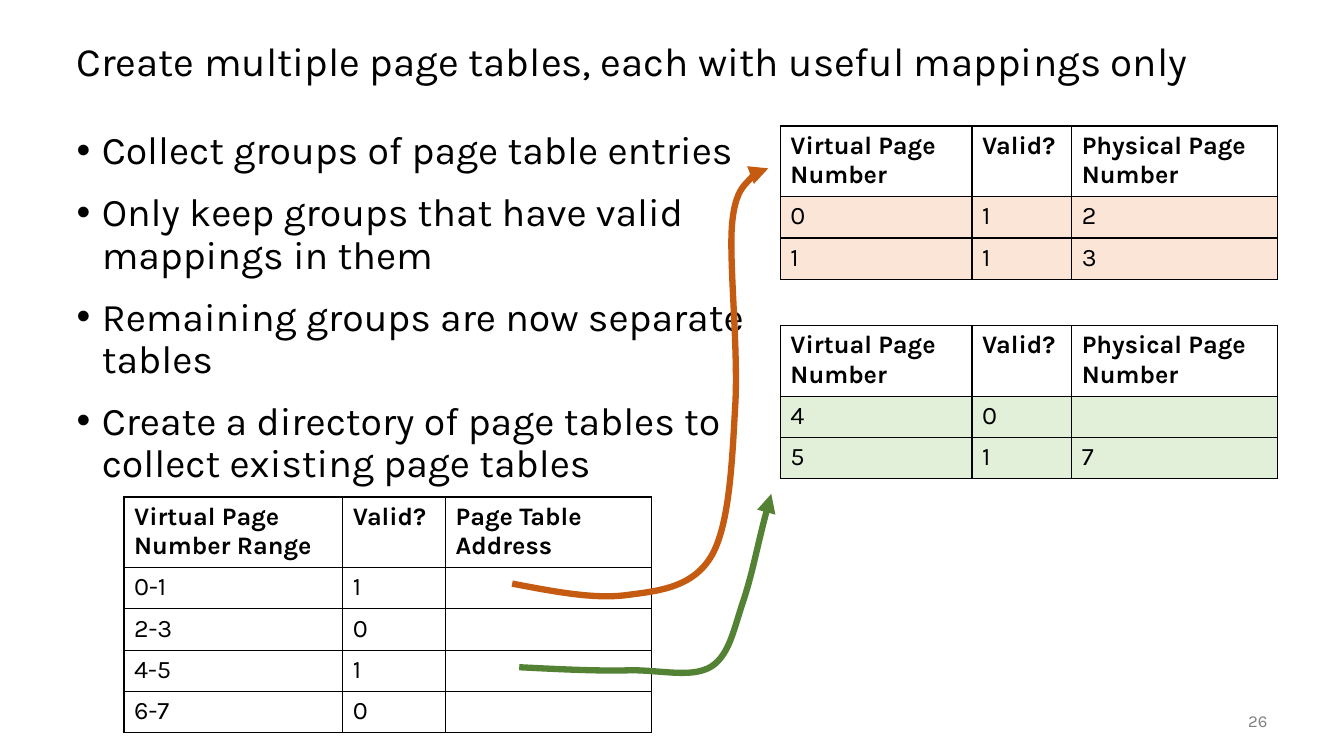
from itertools import product

from lxml.etree import SubElement as Sub
from pptx import Presentation
from pptx.dml.color import RGBColor
from pptx.enum.text import MSO_ANCHOR as Anchor, MSO_AUTO_SIZE as Fit, PP_ALIGN as Align
from pptx.oxml.ns import qn
from pptx.util import Pt

PX = 9144


def rgb(code):
    return RGBColor.from_string(code)


class Page:
    """Draws styled elements on one slide, with lengths in px at 100 to the inch."""

    face = "Karla"
    ink = "000000"
    paper = "FFFFFF"

    def __init__(self, wide, high):
        self.deck = Presentation()
        self.deck.slide_width = wide * PX
        self.deck.slide_height = high * PX
        self.slide = self.deck.slides.add_slide(self.deck.slide_layouts[1])

    def place(self, shape, box):
        shape.left, shape.top, shape.width, shape.height = [n * PX for n in box]

    def style(self, para, size, color=ink, bold=False):
        for run in para.runs:
            font = run.font
            font.name, font.size, font.bold = self.face, Pt(size), bold
            font.color.rgb = rgb(color)

    def title(self, text, box):
        shape = self.slide.shapes.title
        self.place(shape, box)
        frame = shape.text_frame
        frame.text = text
        frame.auto_size = Fit.NONE
        frame.vertical_anchor = Anchor.MIDDLE
        para = frame.paragraphs[0]
        para.alignment, para.line_spacing = Align.LEFT, 0.9
        self.style(para, 28.8)

    def bullets(self, items, box):
        shape = self.slide.placeholders[1]
        self.place(shape, box)
        frame = shape.text_frame
        frame.text = "\n".join(items)
        frame.auto_size = Fit.NONE
        for i, para in enumerate(frame.paragraphs):
            props = para._p.get_or_add_pPr()
            props.set("marL", str(25 * PX))
            props.set("indent", str(-25 * PX))
            Sub(props, qn("a:buFont"), typeface="Arial")
            Sub(props, qn("a:buChar"), char="•")
            para.line_spacing = 0.9
            para.space_before = Pt(14 if i else 0)
            self.style(para, 28)

    def number(self, text, box):
        shape = self.slide.shapes.add_textbox(*[n * PX for n in box])
        frame = shape.text_frame
        frame.word_wrap = True
        frame.vertical_anchor = Anchor.MIDDLE
        frame.text = text
        para = frame.paragraphs[0]
        para.alignment = Align.RIGHT
        self.style(para, 12, "808080")

    def border(self, cell):
        props = cell._tc.get_or_add_tcPr()
        for side in "LRTB":
            line = Sub(props, qn(f"a:ln{side}"), w=str(Pt(1)))
            fill = Sub(line, qn("a:solidFill"))
            Sub(fill, qn("a:srgbClr"), val=self.ink)

    def table(self, left, top, cols, rows, tint):
        highs = [69] + [41] * (len(rows) - 1)
        box = left, top, sum(cols), sum(highs)
        frame = self.slide.shapes.add_table(len(rows), len(cols), *[n * PX for n in box])
        table = frame.table
        table.first_row = table.horz_banding = False
        for col, wide in zip(table.columns, cols):
            col.width = wide * PX
        for row, high in zip(table.rows, highs):
            row.height = high * PX
        for r, c in product(range(len(rows)), range(len(cols))):
            cell = table.cell(r, c)
            cell.text = rows[r][c]
            self.border(cell)
            cell.fill.solid()
            cell.fill.fore_color.rgb = rgb(tint if r else self.paper)
            self.style(cell.text_frame.paragraphs[0], 18, bold=r == 0)

    def curve(self, points, color):
        pen = self.slide.shapes.build_freeform(*points[0], scale=PX)
        pen.add_line_segments(points[1:], close=False)
        shape = pen.convert_to_shape()
        shape.shadow.inherit = False
        shape.fill.background()
        shape.line.color.rgb = rgb(color)
        shape.line.width = Pt(4.5)
        steps = list(shape._element.iter(qn("a:lnTo")))
        for first, *rest in zip(steps[::3], steps[1::3], steps[2::3]):
            first.tag = qn("a:cubicBezTo")
            for step in rest:
                first.append(step[0])
                step.getparent().remove(step)
        Sub(shape.line._get_or_add_ln(), qn("a:tailEnd"), type="triangle")


def main():
    page = Page(1333, 750)
    page.bullets([
        "Collect groups of page table entries",
        "Only keep groups that have valid mappings in them",
        "Remaining groups are now separate tables",
        "Create a directory of page tables to collect existing page tables",
    ], (66, 125, 693, 550))
    page.title("Create multiple page tables, each with useful mappings only",
               (66, 25, 1200, 75))
    page.number("26", (1167, 695, 100, 40))

    page.table(123, 493, (217, 102, 204), [
        ("Virtual Page Number Range", "Valid?", "Page Table Address"),
        ("0-1", "1", ""), ("2-3", "0", ""), ("4-5", "1", ""), ("6-7", "0", ""),
    ], page.paper)
    head = "Virtual Page Number", "Valid?", "Physical Page Number"
    groups = [
        (125, "FBE5D6", [("0", "1", "2"), ("1", "1", "3")]),
        (323, "E2F0D9", [("4", "0", ""), ("5", "1", "7")]),
    ]
    for top, tint, rows in groups:
        page.table(774, top, (190, 99, 204), [head, *rows], tint)

    page.curve([
        (508, 579), (550, 587), (591, 595), (624, 590), (656, 586),
        (688, 582), (706, 551), (723, 521), (726, 462), (729, 407),
        (733, 352), (723, 262), (726, 224), (729, 185), (741, 183),
        (747, 174), (753, 164), (745, 165), (762, 167),
    ], "C55A11")
    page.curve([
        (515, 662), (555, 664), (595, 666), (626, 665), (658, 665),
        (687, 673), (706, 661), (724, 649), (728, 623), (738, 594),
        (747, 566), (752, 536), (765, 490),
    ], "548235")
    page.deck.save("out.pptx")


if __name__ == "__main__":
    main()
